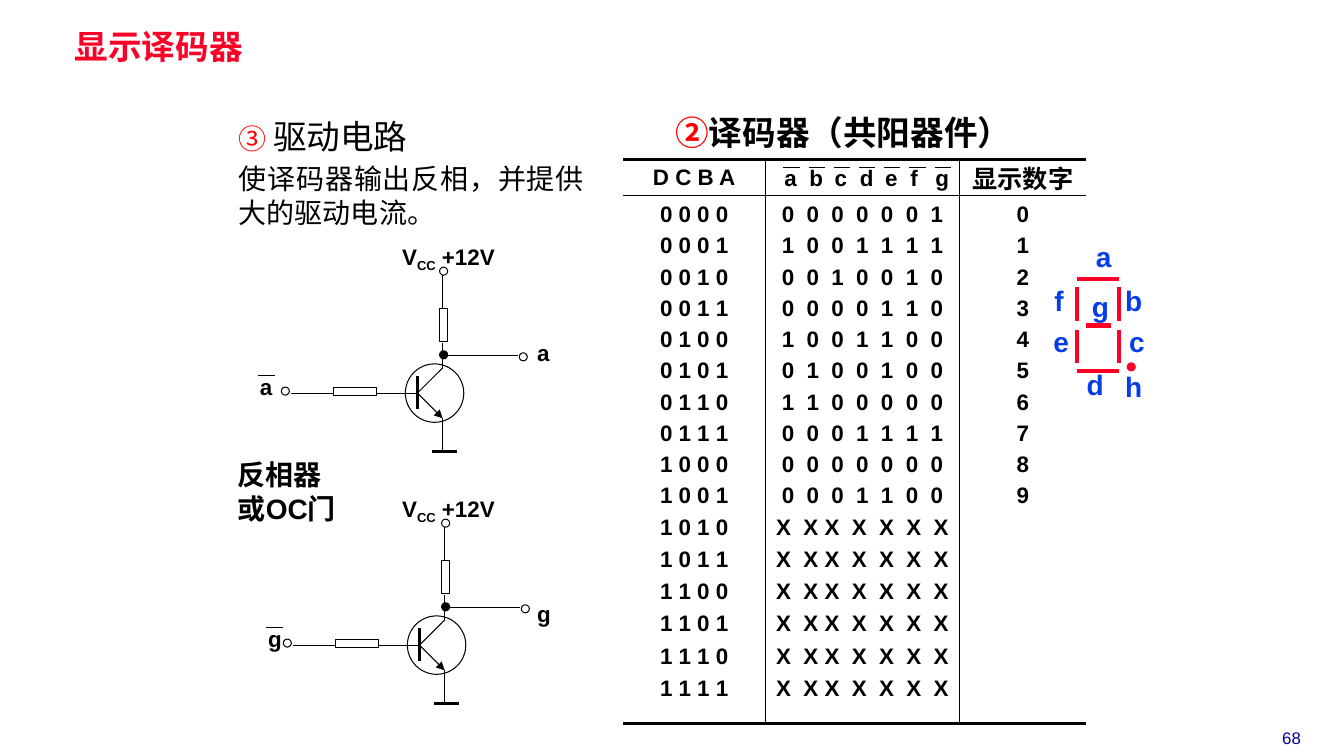
from pptx import Presentation
from pptx.dml.color import RGBColor
from pptx.enum.shapes import MSO_CONNECTOR, MSO_SHAPE
from pptx.enum.text import MSO_ANCHOR, PP_ALIGN
from pptx.oxml.ns import qn
from pptx.util import Inches, Pt
from lxml import etree

STRAIGHT = MSO_CONNECTOR.STRAIGHT
OVAL, RECTANGLE = MSO_SHAPE.OVAL, MSO_SHAPE.RECTANGLE
CENTER, JUSTIFY = PP_ALIGN.CENTER, PP_ALIGN.JUSTIFY
TOP, MIDDLE = MSO_ANCHOR.TOP, MSO_ANCHOR.MIDDLE
BLACK = RGBColor(0x00, 0x00, 0x00)
WHITE = RGBColor(0xFF, 0xFF, 0xFF)
RED = RGBColor(0xFC, 0x01, 0x28)
BRICK = RGBColor(0xCC, 0x33, 0x00)
BLUE = RGBColor(0x06, 0x3D, 0xE8)
NAVY = RGBColor(0x00, 0x00, 0x99)
CJK_FONT = "Noto Sans CJK SC"

presentation = Presentation()
presentation.slide_width = Inches(13.33)
presentation.slide_height = Inches(7.5)
slide = presentation.slides.add_slide(presentation.slide_layouts[6])


def write(paragraph, text, size=16, color=BLACK, bold=True, name="Arial"):
    run = paragraph.add_run()
    run.text = text
    run.font.color.rgb = color
    for attribute, value in {"size": Pt(size), "bold": bold, "name": name}.items():
        setattr(run.font, attribute, value)
    etree.SubElement(run.font._element, qn("a:ea"), typeface=CJK_FONT)
    return run


def add_box(left, top, width, height, spacing=None, number=None):
    box = slide.shapes.add_textbox(Inches(left), Inches(top), Inches(width), Inches(height))
    box.text_frame.word_wrap = True
    paragraph = box.text_frame.paragraphs[0]
    paragraph.line_spacing = spacing
    if number:
        properties = paragraph._p.get_or_add_pPr()
        properties.set("marL", str(Inches(0.19)))
        properties.set("indent", str(Inches(-0.5)))
        bullet_color = etree.SubElement(properties, qn("a:buClr"))
        etree.SubElement(bullet_color, qn("a:srgbClr"), val="FF0000")
        etree.SubElement(properties, qn("a:buAutoNum"), type="circleNumDbPlain", startAt=str(number))
    return box.text_frame, paragraph


# Title and page number
frame, paragraph = add_box(0.67, 0.28, 8.03, 0.41, 0.87)
frame.margin_left = frame.margin_right = Inches(0.07)
frame.margin_top = frame.margin_bottom = Inches(0.03)
write(paragraph, "显示译码器", 24, RED, name="Times New Roman")
frame, paragraph = add_box(12.34, 7.17, 0.94, 0.3)
paragraph.alignment = CENTER
write(paragraph, "68", 12, NAVY, bold=False)

# Section headings
frame, paragraph = add_box(2.27, 0.98, 3.62, 1.37, 1.3, number=3)
write(paragraph, " ", 20, BRICK, False, CJK_FONT)
write(paragraph, "驱动电路", 24, bold=False, name=CJK_FONT)
paragraph = frame.add_paragraph()
paragraph.alignment = JUSTIFY
paragraph.space_before = Pt(4)
write(paragraph, "使译码器输出反相，并提供大的驱动电流。", 20, bold=False, name=CJK_FONT)
frame, paragraph = add_box(6.6, 0.94, 4.09, 0.57, 1.3, number=2)
write(paragraph, "译码器（共阳器件）", 24)
frame, paragraph = add_box(2.26, 4.49, 1.19, 0.77)
write(paragraph, "反相器", 20)
write(frame.add_paragraph(), "或OC门", 20)

# Truth table
segment_codes = ["0000001", "1001111", "0010010", "0000110", "1001100",
                 "0100100", "1100000", "0001111", "0000000", "0001100"]
rows = [("D C B A", "", "显示数字")]
for value in range(16):
    inputs = " ".join(format(value, "04b"))
    if value < len(segment_codes):
        rows.append((inputs, "  ".join(segment_codes[value]), str(value)))
    else:
        rows.append((inputs, "X  X X  X  X  X  X", ""))
row_heights = [0.36, 0.36] + [0.31] * 14 + [0.49]
column_widths = [1.41, 1.93, 1.25]
table = slide.shapes.add_table(len(rows), 3, Inches(6.18), Inches(1.58),
                               Inches(sum(column_widths)), Inches(sum(row_heights))).table
table.first_row = table.horz_banding = False
for column, width in zip(table.columns, column_widths):
    column.width = Inches(width)
last_row = len(rows) - 1
for row_index, (texts, height) in enumerate(zip(rows, row_heights)):
    table.rows[row_index].height = Inches(height)
    for column_index, text in enumerate(texts):
        cell = table.cell(row_index, column_index)
        cell.margin_left = cell.margin_right = cell.margin_bottom = 0
        cell.margin_top = Inches({0: 0, 1: 0.07}.get(row_index, 0.02))
        cell.vertical_anchor = TOP if row_index else MIDDLE
        borders = {
            "a:lnL": 1 if column_index else 0,
            "a:lnR": 1 if column_index < 2 else 0,
            "a:lnT": {0: 2.25, 1: 1}.get(row_index, 0),
            "a:lnB": {0: 1, last_row: 2.25}.get(row_index, 0),
        }
        for tag, width in borders.items():
            border = etree.SubElement(cell._tc.get_or_add_tcPr(), qn(tag), w=str(Pt(width)))
            if width:
                fill = etree.SubElement(border, qn("a:solidFill"))
                etree.SubElement(fill, qn("a:srgbClr"), val=str(BLACK))
            else:
                etree.SubElement(border, qn("a:noFill"))
        cell.fill.background()
        paragraph = cell.text_frame.paragraphs[0]
        paragraph.alignment = CENTER
        if text:
            write(paragraph, text, 18 if text == "显示数字" else 16)

# Lines: x1, y1, x2, y2, width, colour, arrow; symbols: shape, box, fill, colour
lines, symbols = [], []

# Inverted segment names in the table header
for index, letter in enumerate("abcdefg"):
    left = 7.68 + 0.25 * index
    write(add_box(left, 1.58, 0.42, 0.37)[1], letter)
    lines.append((left + 0.09, 1.66, left + 0.25, 1.66, 0.75, BLACK, False))

# Transistor drivers: x and y of the base, segment, input label x, output label spacing
for x, y, letter, input_left, spacing in [(4.14, 3.9, "a", 2.48, 0.64),
                                          (4.16, 6.4, "g", 2.56, None)]:
    for x1, y1, x2, y2, width, arrow in [
        (0.25, 0.25, 0.25, 0.58, 0.75, False),
        (0.14, 0.58, 0.39, 0.58, 2.25, False),
        (0, -0.17, 0, 0.16, 2.25, False),
        (0, 0, 0.25, 0.25, 0.75, True),
        (0, 0, 0.25, -0.25, 0.75, False),
        (0, 0, -0.41, 0, 0.75, False),
        (0.25, -0.25, 0.25, -0.5, 0.75, False),
        (-0.83, 0, -1.25, 0, 0.75, False),
        (0.25, -1.17, 0.25, -0.84, 0.75, False),
        (0.25, -0.37, 1, -0.37, 0.75, False),
    ]:
        lines.append((x + x1, y + y1, x + x2, y + y2, width, BLACK, arrow))
    for kind, left, top, width, height, fill in [
        (OVAL, -0.12, -0.29, 0.58, 0.58, None),
        (RECTANGLE, 0.22, -0.84, 0.08, 0.33, WHITE),
        (RECTANGLE, -0.83, -0.06, 0.42, 0.08, WHITE),
        (OVAL, -1.35, -0.06, 0.08, 0.08, None),
        (OVAL, 0.22, -1.25, 0.08, 0.08, None),
        (OVAL, 1.01, -0.4, 0.08, 0.08, None),
        (OVAL, 0.22, -0.42, 0.08, 0.08, BLACK),
    ]:
        symbols.append((kind, x + left, y + top, width, height, fill, BLACK))
    paragraph = add_box(3.89, y - 1.54, 1.33, 0.37)[1]
    write(paragraph, "V")
    write(paragraph, "CC").font._element.set("baseline", "-25000")
    write(paragraph, " +12V")
    write(add_box(5.23, y - 0.5, 0.42, 0.37, spacing)[1], letter)
    write(add_box(input_left, y - 0.25, 0.42, 0.37)[1], letter)
    lines.append((input_left + 0.08, y - 0.17, input_left + 0.25, y - 0.17, 0.75, BLACK, False))

# Seven-segment display
for x1, y1, x2, y2 in [(10.68, 2.85, 10.68, 3.18), (11.1, 2.85, 11.1, 3.18),
                       (10.68, 3.27, 10.68, 3.6), (11.1, 3.27, 11.1, 3.6),
                       (10.68, 2.77, 11.1, 2.77), (10.68, 3.68, 11.1, 3.68),
                       (10.77, 3.23, 11.02, 3.23)]:
    lines.append((x1, y1, x2, y2, 3, RED, False))
symbols.append((OVAL, 11.18, 3.6, 0.08, 0.08, RED, RED))
for letter, left, top in [("a", 10.77, 2.43), ("b", 11.06, 2.87), ("c", 11.1, 3.28),
                          ("d", 10.68, 3.7), ("e", 10.35, 3.28), ("f", 10.36, 2.87),
                          ("g", 10.73, 2.93), ("h", 11.06, 3.72)]:
    write(add_box(left, top, 0.42, 0.33, 0.64)[1], letter, 20, BLUE)

# Draw the collected lines and symbols
for x1, y1, x2, y2, width, color, arrow in lines:
    connector = slide.shapes.add_connector(STRAIGHT, Inches(x1), Inches(y1), Inches(x2), Inches(y2))
    connector.line.width = Pt(width)
    connector.line.color.rgb = color
    properties = connector._element.spPr
    if arrow:
        etree.SubElement(properties.find(qn("a:ln")), qn("a:tailEnd"), type="triangle")
    etree.SubElement(properties, qn("a:effectLst"))
for kind, left, top, width, height, fill, color in symbols:
    shape = slide.shapes.add_shape(kind, Inches(left), Inches(top), Inches(width), Inches(height))
    shape.shadow.inherit = False
    shape.line.width = Pt(0.75)
    shape.line.color.rgb = color
    if fill is None:
        shape.fill.background()
    else:
        shape.fill.solid()
        shape.fill.fore_color.rgb = fill

presentation.save("out.pptx")
